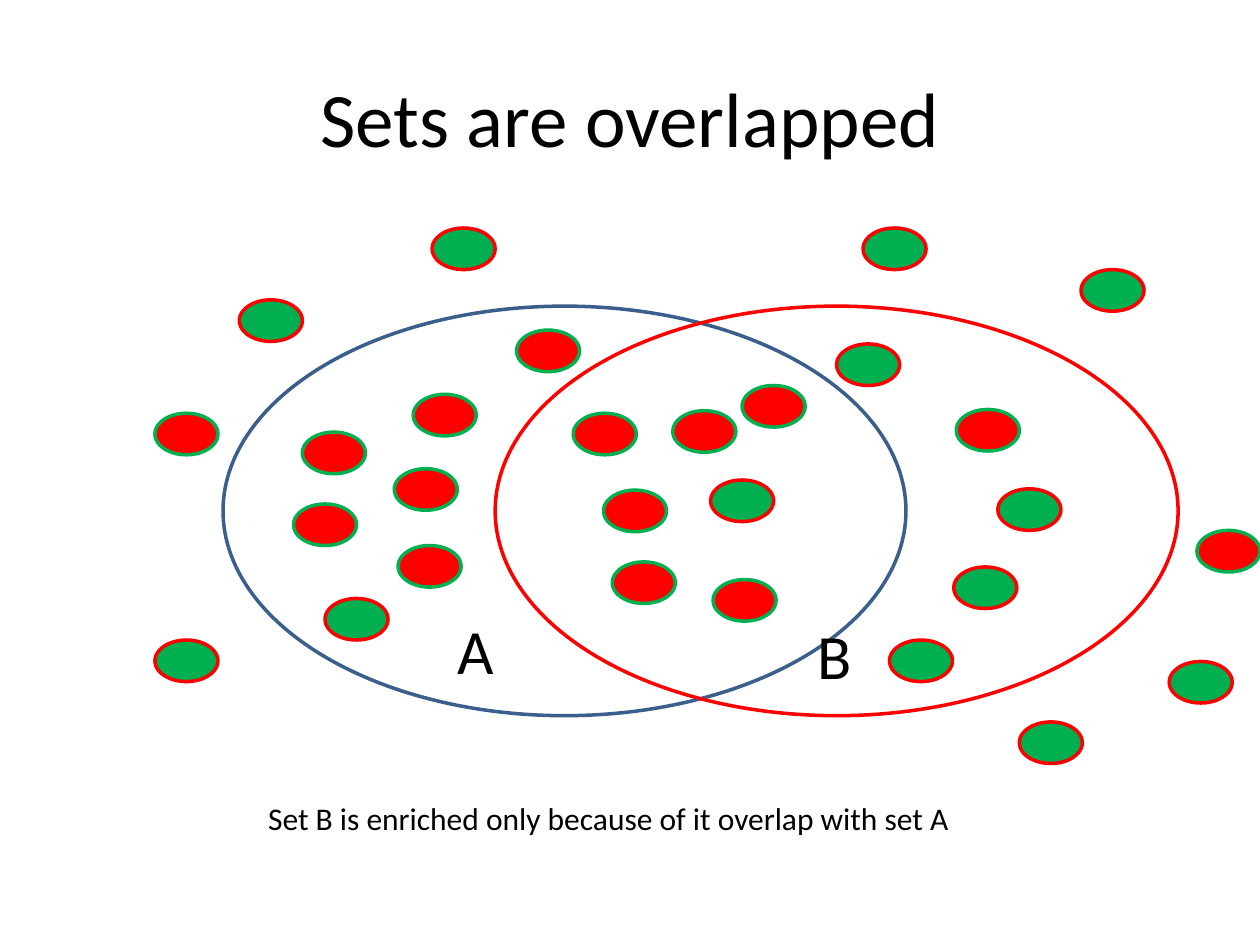
from dataclasses import dataclass

from pptx import Presentation
from pptx.dml.color import RGBColor
from pptx.enum.shapes import MSO_SHAPE
from pptx.enum.text import MSO_ANCHOR, MSO_AUTO_SIZE, PP_ALIGN
from pptx.util import Inches, Pt

OVAL = MSO_SHAPE.OVAL
MIDDLE = MSO_ANCHOR.MIDDLE
GROW = MSO_AUTO_SIZE.SHAPE_TO_FIT_TEXT
CENTER = PP_ALIGN.CENTER
LEFT = PP_ALIGN.LEFT
TITLE_ONLY = 5


@dataclass(frozen=True)
class Theme:
    font: str = "Calibri"
    text: str = "000000"
    blue: str = "3A5F8C"
    red: str = "FF0000"
    green: str = "00B050"
    title_size: int = 44
    label_size: int = 36
    note_size: int = 18
    line_width: int = 2


THEME = Theme()
CELL = 0.1
SET_SIZE = (54.2, 32.5)
GENE_SIZE = (5, 3.3)
SET_TOP = 24.3

RED_GENES = [
    (53.4, 32.6), (56.6, 46), (48.6, 44.6), (58.9, 30.6), (47.9, 38.9),
    (45.5, 32.8), (24, 34.3), (32.8, 31.3), (75.9, 32.5), (31.6, 43.3),
    (41, 26.2), (23.3, 40), (31.3, 37.2), (95, 42.1), (12.3, 32.8),
]
GREEN_GENES = [
    (56.4, 38.1), (25.8, 47.5), (75.7, 45), (79.2, 38.8), (66.4, 27.3),
    (70.6, 50.8), (34.3, 18.1), (68.5, 18.1), (19, 23.8), (85.8, 21.4),
    (12.3, 50.8), (92.8, 52.5), (80.9, 57.3),
]


def grid(*cells):
    return [Inches(cell * CELL) for cell in cells]


def write_text(frame, text, size, alignment):
    frame.text = text
    para = frame.paragraphs[0]
    para.alignment = alignment
    font = para.runs[0].font
    font.name = THEME.font
    font.size = Pt(size)
    font.color.rgb = RGBColor.from_string(THEME.text)


def add_title(page, text):
    title = page.shapes.title
    title.left, title.top, title.width, title.height = grid(5, 3, 90, 12.5)
    title.text_frame.vertical_anchor = MIDDLE
    write_text(title.text_frame, text, THEME.title_size, CENTER)


def add_oval(page, position, size, line, fill=None):
    oval = page.shapes.add_shape(OVAL, *grid(*position, *size))
    oval.shadow.inherit = False
    oval.line.color.rgb = RGBColor.from_string(line)
    oval.line.width = Pt(THEME.line_width)
    if fill:
        oval.fill.solid()
        oval.fill.fore_color.rgb = RGBColor.from_string(fill)
    else:
        oval.fill.background()


def add_genes(page, positions, fill, line):
    for position in positions:
        add_oval(page, position, GENE_SIZE, line, fill)


def add_label(page, text, position, size, type_size):
    box = page.shapes.add_textbox(*grid(*position, *size))
    frame = box.text_frame
    frame.word_wrap = False
    frame.auto_size = GROW
    write_text(frame, text, type_size, LEFT)


def main():
    deck = Presentation()
    deck.slide_width, deck.slide_height = grid(100, 75)
    page = deck.slides.add_slide(deck.slide_layouts[TITLE_ONLY])
    add_title(page, "Sets are overlapped")
    for column, color in ((17.7, THEME.blue), (39.3, THEME.red)):
        add_oval(page, (column, SET_TOP), SET_SIZE, color)
    add_genes(page, RED_GENES, THEME.red, THEME.green)
    add_genes(page, GREEN_GENES, THEME.green, THEME.red)
    for text, position in (("A", (35.3, 48)), ("B", (63.9, 48.4))):
        add_label(page, text, position, (4.9, 7.1), THEME.label_size)
    add_label(page, "Set B is enriched only because of it overlap with set A",
              (20.3, 62.9), (56.7, 4), THEME.note_size)
    deck.save("out.pptx")


if __name__ == "__main__":
    main()
